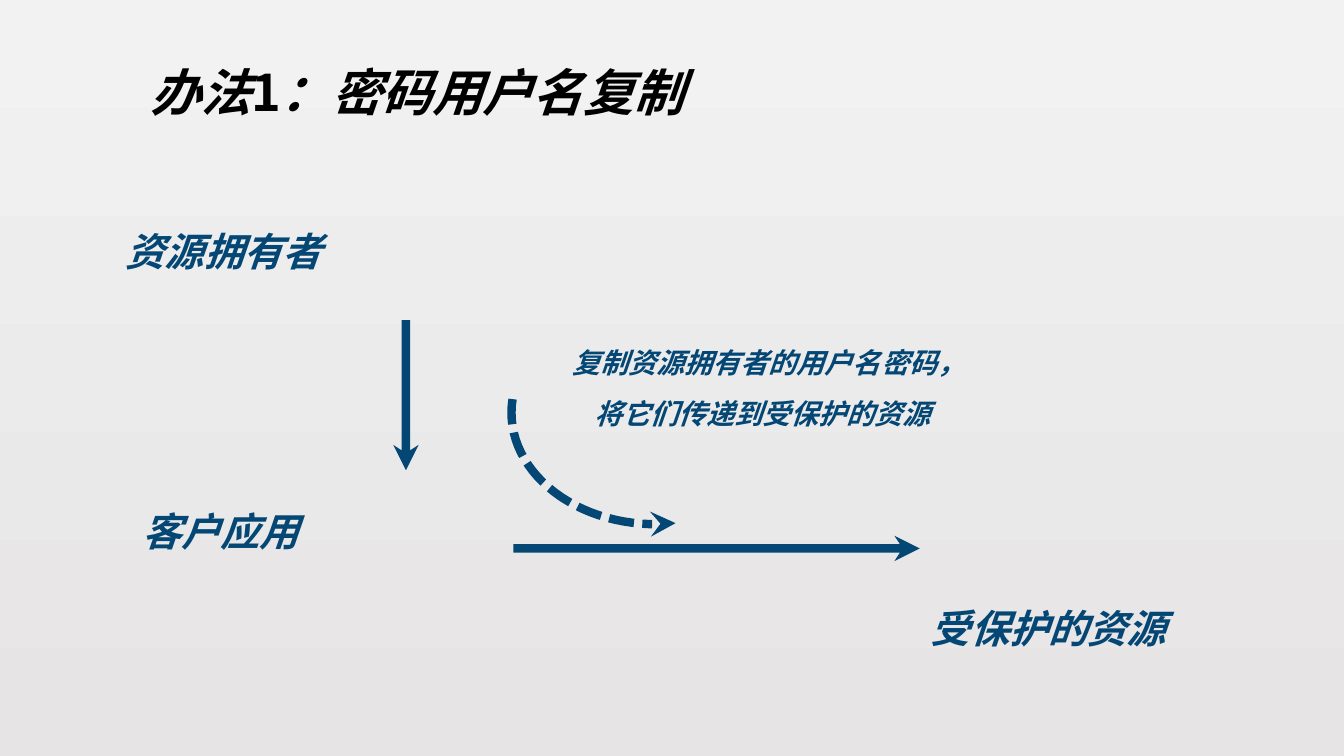
import math

from lxml import etree
from pptx import Presentation
from pptx import util as u
from pptx.dml.color import RGBColor
from pptx.enum import dml, text
from pptx.oxml import ns

FONT = "Noto Sans CJK SC"
COLORS = {"title": "000000", "flow": "044775", "top": "F2F2F2", "bottom": "E6E4E4"}
LINE_WIDTH = u.Pt(6)


def color(name):
    return RGBColor.from_string(COLORS[name])


def add_run(paragraph, words, size, color_name, italic=True):
    run = paragraph.add_run()
    run.text = words
    font = run.font
    font.name, font.size = FONT, u.Pt(size)
    font.bold, font.italic = True, italic
    font.color.rgb = color(color_name)
    east_asian = etree.SubElement(run._r.get_or_add_rPr(), ns.qn("a:ea"))
    east_asian.set("typeface", FONT)


def add_text(slide, box, left_indent=0.04, first_indent=0, wrap=True):
    """Add a text box without side margins; return its frame and paragraph."""
    frame = slide.shapes.add_textbox(*(u.Cm(length) for length in box)).text_frame
    frame.margin_left = frame.margin_right = frame.margin_bottom = 0
    frame.margin_top = u.Cm(0.03)
    frame.word_wrap = wrap
    paragraph = frame.paragraphs[0]
    properties = paragraph._p.get_or_add_pPr()
    properties.set("marL", str(u.Cm(left_indent)))
    properties.set("indent", str(u.Cm(first_indent)))
    return frame, paragraph


def add_outline(slide, points, close):
    """Build a freeform through points given in centimetres."""
    points = [(u.Cm(x), u.Cm(y)) for x, y in points]
    builder = slide.shapes.build_freeform(*points[0])
    builder.add_line_segments(points[1:], close=close)
    shape = builder.convert_to_shape()
    shape.shadow.inherit = False
    return shape


def paint_background(slide):
    fill = slide.background.fill
    fill.gradient()
    fill.gradient_angle = 270
    for stop, position, name in zip(fill.gradient_stops, (0, 1), ("top", "bottom")):
        stop.position = position
        stop.color.rgb = color(name)


def add_title(slide, box):
    frame, paragraph = add_text(slide, box)
    frame.vertical_anchor = text.MSO_ANCHOR.MIDDLE
    for words, italic in (("办法", True), ("1", False), ("：密码用户名复制", True)):
        add_run(paragraph, words, 36, "title", italic)


def add_label(slide, box, words):
    paragraph = add_text(slide, box, wrap=False)[1]
    add_run(paragraph, words, 28, "flow")


def add_note(slide, box):
    paragraph = add_text(slide, box, left_indent=0.58, first_indent=-0.55)[1]
    paragraph.line_spacing = 1.5
    add_run(paragraph, "复制资源拥有者的用户名密码， 将它们传递到受保护的资源", 20, "flow")


def add_block_arrow(slide, box):
    """Fill the box with a barbed arrow along its longer side."""
    left, top, width, height = box
    length, middle = max(width, height), min(width, height) / 2
    shaft = middle / 3
    upper = [(0, -shaft), (length - 0.5, -shaft), (length - 0.64, -middle)]
    lower = [(along, -across) for along, across in reversed(upper)]
    outline = upper + [(length, 0)] + lower
    if width > height:
        points = [(left + along, top + middle + across) for along, across in outline]
    else:
        points = [(left + middle + across, top + along) for along, across in outline]
    arrow = add_outline(slide, points, close=True)
    arrow.fill.solid()
    arrow.fill.fore_color.rgb = color("flow")
    arrow.line.fill.background()


def add_curved_arrow(slide, box, start=187, end=82, steps=30):
    """Draw a dashed arc of the ellipse that fills the box."""
    left, top, width, height = box
    points = []
    for step in range(steps + 1):
        angle = math.radians(start + (end - start) * step / steps)
        points.append((left + width / 2 * (1 + math.cos(angle)),
                       top + height / 2 * (1 + math.sin(angle))))
    arrow = add_outline(slide, points, close=False)
    arrow.fill.background()
    arrow.line.width = LINE_WIDTH
    arrow.line.color.rgb = color("flow")
    arrow.line.dash_style = dml.MSO_LINE.SQUARE_DOT
    head = etree.SubElement(arrow.line._get_or_add_ln(), ns.qn("a:tailEnd"))
    head.set("type", "stealth")


def build_slide(slide):
    paint_background(slide)
    add_title(slide, (3.75, 1.48, 13.56, 1.6))

    # Flow from the owner through the client to the resource
    add_block_arrow(slide, (12.94, 13.5, 10.24, 0.64))
    add_curved_arrow(slide, (12.89, 7.59, 7.26, 5.62))
    add_note(slide, (14.4, 8.26, 9.96, 2.62))
    add_label(slide, (3.13, 5.69, 5, 1.24), "资源拥有者")
    add_label(slide, (3.54, 12.75, 4.01, 1.24), "客户应用")
    add_label(slide, (23.42, 15.21, 5.99, 1.24), "受保护的资源")
    add_block_arrow(slide, (9.91, 8.07, 0.64, 3.78))


def main():
    presentation = Presentation()
    presentation.slide_width = u.Cm(33.87)
    presentation.slide_height = u.Cm(19.05)
    build_slide(presentation.slides.add_slide(presentation.slide_layouts[6]))
    presentation.save("out.pptx")


if __name__ == "__main__":
    main()
